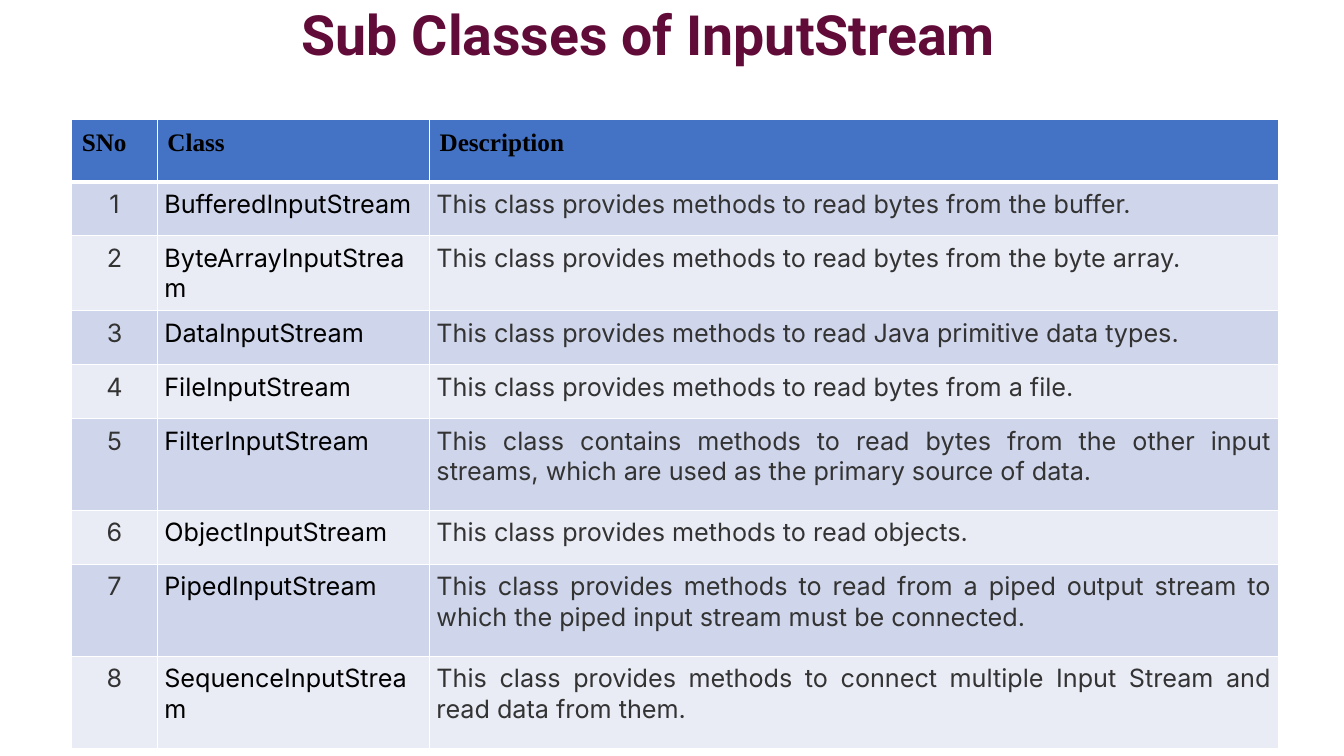
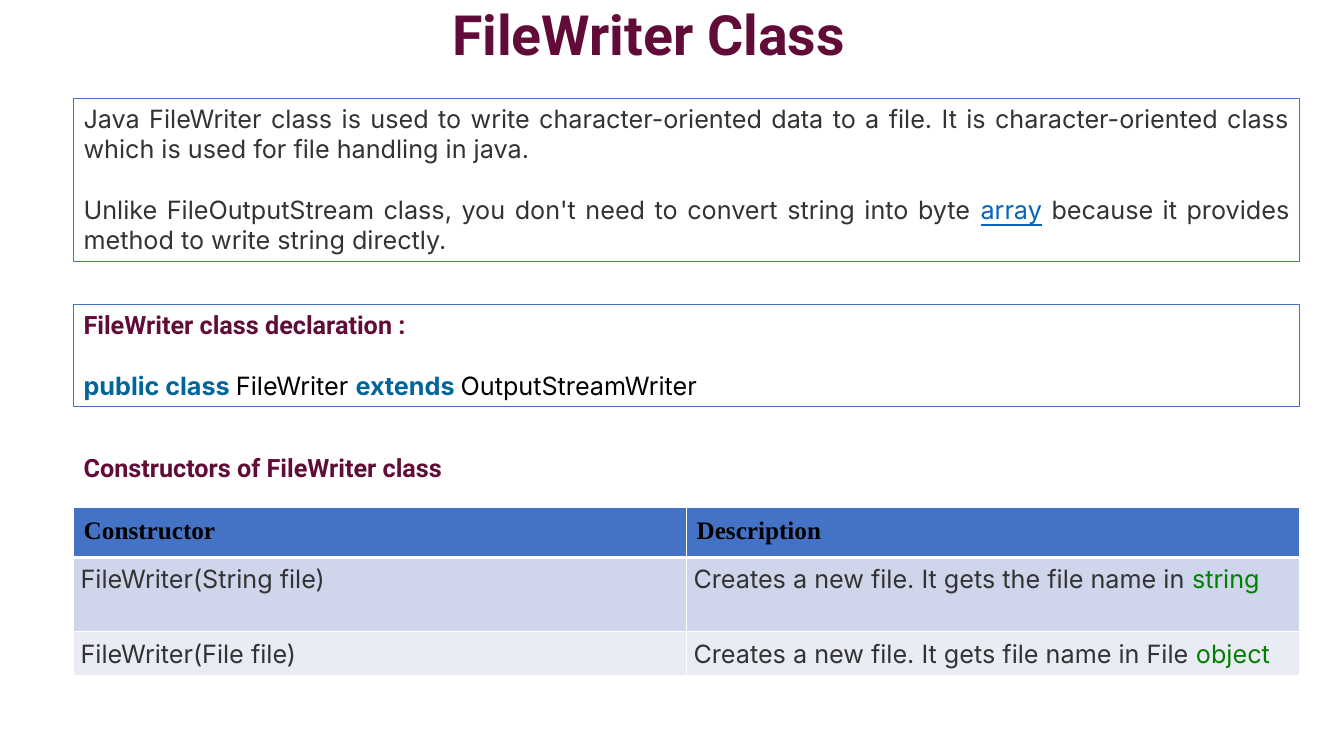
from dataclasses import dataclass

from lxml.etree import SubElement
from pptx import Presentation
from pptx.dml.color import RGBColor as Rgb
from pptx.enum.shapes import MSO_SHAPE as Shape
from pptx.enum.text import MSO_ANCHOR as Anchor, MSO_AUTO_SIZE as AutoSize, PP_ALIGN as Align
from pptx.oxml.ns import qn
from pptx.util import Pt


@dataclass(frozen=True)
class Type:
    font: str
    color: str
    size: float = 18
    bold: bool = False
    underline: bool = False


@dataclass(frozen=True)
class Theme:
    # Colours
    accent: str = "4472C4"
    bands: tuple = ("CFD5EA", "E9EBF5")
    border: str = "FFFFFF"
    # Type
    title: Type = Type("Roboto", "610B38", 39.6, True)
    heading: Type = Type("Roboto", "610B38", bold=True)
    header: Type = Type("Times New Roman", "000000", bold=True)
    body: Type = Type("Inter", "333333")
    name: Type = Type("Inter", "000000")
    keyword: Type = Type("Inter", "006699", bold=True)
    link: Type = Type("Inter", "0563C1", underline=True)
    literal: Type = Type("Inter", "008000")
    # Spacing
    line_gap: float = 21.8
    header_margin: float = 7.2
    cell_margin: float = 5


class Deck:
    def __init__(self, theme):
        self.theme = theme
        self.show = Presentation()
        self.show.slide_width, self.show.slide_height = Pt(960), Pt(540)
        self.slide = None

    @staticmethod
    def style(font, kind):
        font.name, font.size = kind.font, Pt(kind.size)
        font.bold, font.underline = kind.bold, kind.underline
        font.color.rgb = Rgb.from_string(kind.color)

    def fill_text(self, frame, kind, *paragraphs, align=Align.JUSTIFY, gap=0):
        """Fill a frame; a paragraph is a string or a list of strings and (text, Type) pairs."""
        frame.word_wrap = True
        for index, content in enumerate(paragraphs):
            paragraph = frame.add_paragraph() if index else frame.paragraphs[0]
            paragraph.alignment = align
            if index:
                paragraph.space_before = Pt(gap)
            self.style(paragraph.font, kind)
            for piece in [content] if isinstance(content, str) else content:
                text, own = (piece, None) if isinstance(piece, str) else piece
                run = paragraph.add_run()
                run.text = text
                if own:
                    self.style(run.font, own)

    def new_slide(self, text):
        self.slide = self.show.slides.add_slide(self.show.slide_layouts[5])
        title = self.slide.shapes.title
        title.left, title.top, title.width, title.height = Pt(32.4), Pt(0), Pt(861.8), Pt(53.3)
        frame = title.text_frame
        frame.auto_size, frame.vertical_anchor = AutoSize.NONE, Anchor.MIDDLE
        self.fill_text(frame, self.theme.title, text, align=Align.CENTER)
        frame.paragraphs[0].line_spacing = 0.9

    def framed(self, left, top, width, height, *paragraphs):
        box = self.slide.shapes.add_shape(
            Shape.RECTANGLE, Pt(left), Pt(top), Pt(width), Pt(height))
        box.shadow.inherit = False
        box.fill.background()
        box.line.color.rgb = Rgb.from_string(self.theme.accent)
        box.line.width = Pt(0.75)
        frame = box.text_frame
        frame.vertical_anchor = Anchor.TOP
        self.fill_text(frame, self.theme.body, *paragraphs, gap=self.theme.line_gap)

    def heading(self, left, top, width, height, text):
        box = self.slide.shapes.add_textbox(Pt(left), Pt(top), Pt(width), Pt(height))
        self.fill_text(box.text_frame, self.theme.heading, text)

    def borders(self, cell, top, bottom):
        properties = cell._tc.get_or_add_tcPr()
        for side, width in (("L", 1), ("R", 1), ("T", top), ("B", bottom)):
            line = SubElement(properties, qn(f"a:ln{side}"), w=str(Pt(width)))
            fill = SubElement(line, qn("a:solidFill"))
            SubElement(fill, qn("a:srgbClr"), val=self.theme.border)

    def table(self, left, top, columns, heights, rows):
        """Columns are (header, width, Type, alignment)."""
        theme = self.theme
        headers, widths, kinds, aligns = zip(*columns)
        table = self.slide.shapes.add_table(
            len(heights), len(columns), Pt(left), Pt(top),
            Pt(sum(widths)), Pt(sum(heights))).table
        for column, width in zip(table.columns, widths):
            column.width = Pt(width)
        for r, (height, contents) in enumerate(zip(heights, [headers, *rows])):
            table.rows[r].height = Pt(height)
            for c, content in enumerate(contents):
                cell = table.cell(r, c)
                self.borders(cell, top=3 if r == 1 else 1, bottom=1 if r else 3)
                cell.fill.solid()
                color = theme.bands[(r - 1) % 2] if r else theme.accent
                cell.fill.fore_color.rgb = Rgb.from_string(color)
                margin = Pt(theme.cell_margin if r else theme.header_margin)
                cell.margin_left = cell.margin_right = margin
                cell.margin_top = cell.margin_bottom = margin
                self.fill_text(cell.text_frame, kinds[c] if r else theme.header, content,
                               align=aligns[c] if r else Align.LEFT)


def input_streams(deck):
    theme = deck.theme
    deck.new_slide("Sub Classes of InputStream")
    classes = [
        ("BufferedInputStream", "This class provides methods to read bytes from the buffer."),
        ("ByteArrayInputStream", "This class provides methods to read bytes from the byte array."),
        ("DataInputStream", "This class provides methods to read Java primitive data types."),
        ("FileInputStream", "This class provides methods to read bytes from a file."),
        ("FilterInputStream", "This class contains methods to read bytes from the other input "
                              "streams, which are used as the primary source of data."),
        ("ObjectInputStream", "This class provides methods to read objects."),
        ("PipedInputStream", "This class provides methods to read from a piped output stream to "
                             "which the piped input stream must be connected."),
        ("SequenceInputStream", "This class provides methods to connect multiple Input Stream and "
                                "read data from them."),
    ]
    single, wrapped, double = 38.6, 53.6, 65.6
    deck.table(
        51.2, 85.2,
        [("SNo", 61.2, theme.body, Align.CENTER),
         ("Class", 194.4, theme.name, Align.LEFT),
         ("Description", 606.2, theme.body, Align.JUSTIFY)],
        [44.6, single, wrapped, single, single, double, single, double, double],
        [(str(number), *row) for number, row in enumerate(classes, 1)])


def file_writer(deck):
    theme = deck.theme
    left, width = 52.6, 875.6
    deck.new_slide("FileWriter Class")

    # Introduction and declaration
    deck.framed(
        left, 70.3, width, 116.6,
        "Java FileWriter class is used to write character-oriented data to a file. "
        "It is character-oriented class which is used for file handling in java.",
        ["Unlike FileOutputStream class, you don't need to convert string into byte ",
         ("array", theme.link),
         " because it provides method to write string directly."])
    deck.framed(
        left, 217.4, width, 72.7,
        [("FileWriter class declaration :", theme.heading)],
        [("public class ", theme.keyword), ("FileWriter ", theme.name),
         ("extends ", theme.keyword), ("OutputStreamWriter", theme.name)])

    # Constructors
    deck.heading(left, 319.7, 480, 29, "Constructors of FileWriter class")
    deck.table(
        left, 362.2,
        [(header, width / 2, theme.body, Align.JUSTIFY)
         for header in ("Constructor", "Description")],
        [35, 53, 31],
        [("FileWriter(String file)",
          ["Creates a new file. It gets the file name in ", ("string", theme.literal)]),
         ("FileWriter(File file)",
          ["Creates a new file. It gets file name in File ", ("object", theme.literal)])])


def main():
    deck = Deck(Theme())
    input_streams(deck)
    file_writer(deck)
    deck.show.save("out.pptx")


if __name__ == "__main__":
    main()
